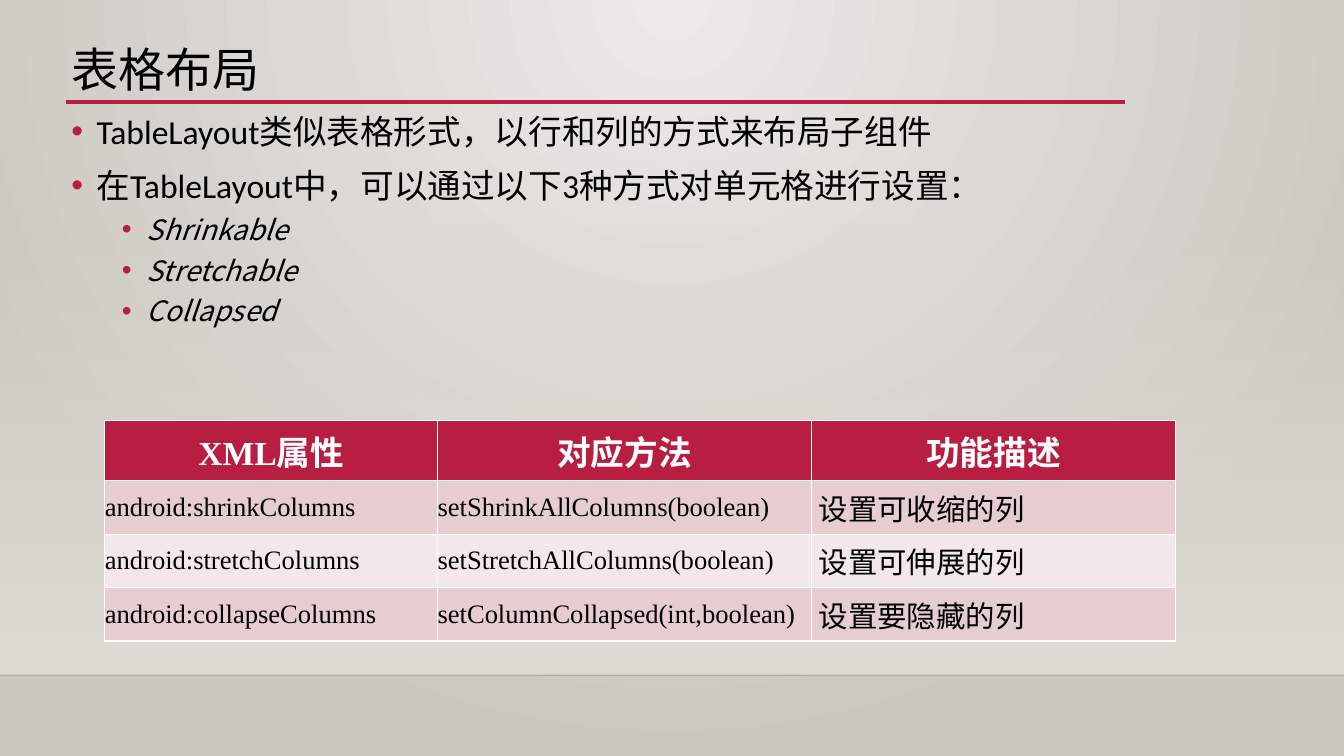
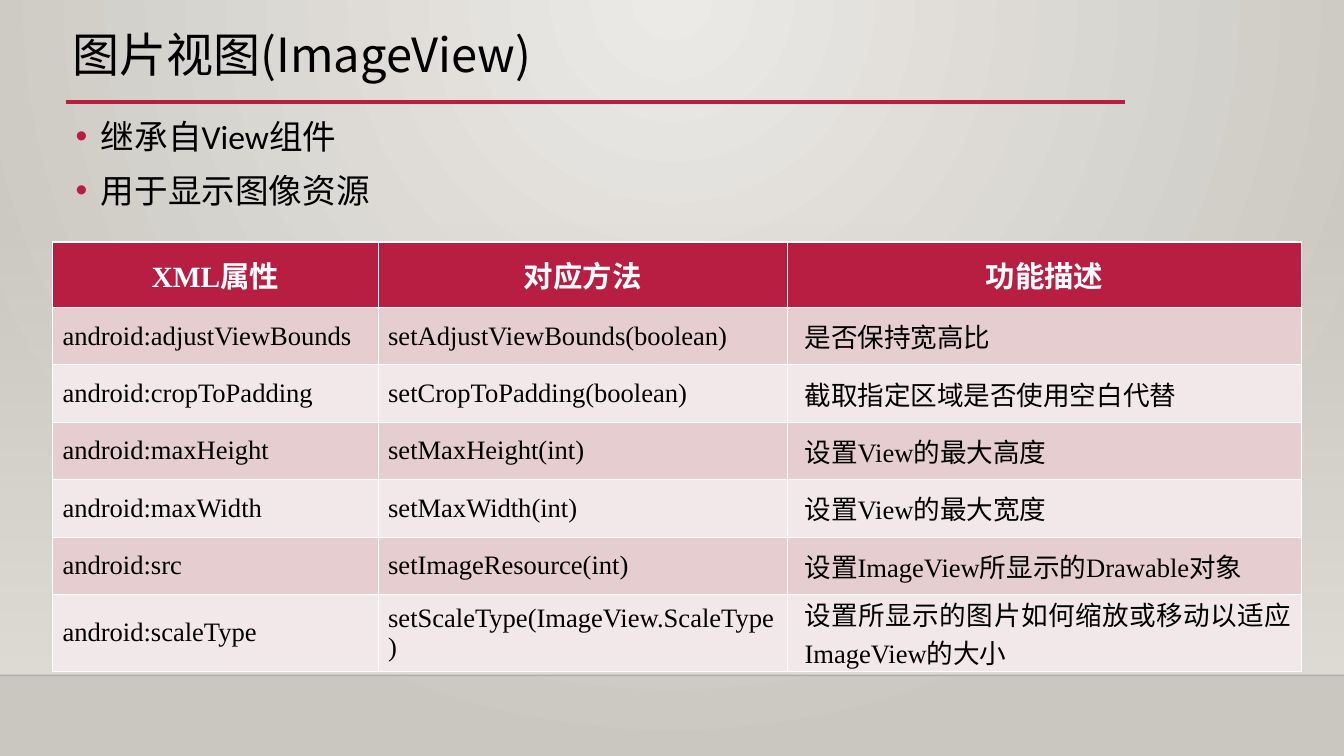
from pptx import Presentation
from pptx.dml.color import RGBColor
from pptx.enum.shapes import MSO_CONNECTOR, MSO_SHAPE
from pptx.enum.text import MSO_ANCHOR, PP_ALIGN
from pptx.oxml import parse_xml
from pptx.oxml.ns import nsdecls, qn
from pptx.util import Inches, Pt

RECT, STRAIGHT = MSO_SHAPE.RECTANGLE, MSO_CONNECTOR.STRAIGHT
TOP, MIDDLE = MSO_ANCHOR.TOP, MSO_ANCHOR.MIDDLE
LEFT, CENTER, JUSTIFY = PP_ALIGN.LEFT, PP_ALIGN.CENTER, PP_ALIGN.JUSTIFY

ACCENT = RGBColor(0xB7, 0x1E, 0x42)
BLACK = RGBColor(0, 0, 0)
WHITE = RGBColor(0xFF, 0xFF, 0xFF)
NEAR_BLACK = RGBColor(0, 0, 1)
ROW_DARK = RGBColor(0xE6, 0xCD, 0xCF)
ROW_LIGHT = RGBColor(0xF3, 0xE8, 0xE9)
BG_INNER = RGBColor(0xEC, 0xEA, 0xE7)
BG_OUTER = RGBColor(0xCA, 0xC7, 0xC1)
BAND = RGBColor(0xDF, 0xDB, 0xD5)

SANS, SERIF, BODY, ARIAL = "Noto Sans CJK SC", "Times New Roman", "Calibri", "Arial"
HEADERS = ["XML属性", "对应方法", "功能描述"]


def xml(tag, attrs="", inner=""):
    return parse_xml(f"<a:{tag} {nsdecls('a')} {attrs}>{inner}</a:{tag}>")


def solid(color, alpha=100):
    return f'<a:srgbClr val="{color}"><a:alpha val="{alpha * 1000}"/></a:srgbClr>'


def gradient(fill, element, start, end, direction):
    """Two-stop gradient; start and end are colour XML."""
    fill.gradient()
    grad = next(element.iter(qn("a:gradFill")))
    for child in list(grad):
        grad.remove(child)
    grad.append(xml("gsLst", inner=f'<a:gs pos="0">{start}</a:gs>'
                                   f'<a:gs pos="100000">{end}</a:gs>'))
    grad.append(direction)


def set_background(master):
    circle = xml("path", 'path="circle"',
                 '<a:fillToRect l="43000" t="0" r="43000" b="100000"/>')
    gradient(master.background.fill, master.element,
             solid(BG_INNER), solid(BG_OUTER), circle)


def add_rule(s, x1, x2, y, color, width, alpha=100):
    line = s.shapes.add_connector(STRAIGHT, Inches(x1), Inches(y), Inches(x2), Inches(y))
    line.line.color.rgb = color
    line.line.width = Pt(width)
    next(line.element.spPr.iter(qn("a:srgbClr"))).append(
        xml("alpha", f'val="{alpha * 1000}"'))
    line.element.spPr.append(xml("effectLst"))


def style_runs(p, size, font, color=BLACK, bold=False, italic=False):
    for r in p.runs:
        r.font.size, r.font.name = Pt(size), font
        r.font.bold, r.font.italic = bold, italic
        r.font.color.rgb = color
        r.font.fill._xPr.find(qn("a:latin")).addnext(xml("ea", f'typeface="{SANS}"'))


def add_text_box(s, x, y, w, h, anchor, inset=(0.1, 0.05)):
    tf = s.shapes.add_textbox(Inches(x), Inches(y), Inches(w), Inches(h)).text_frame
    tf.word_wrap = True
    tf.vertical_anchor = anchor
    tf.margin_left = tf.margin_right = Inches(inset[0])
    tf.margin_top = tf.margin_bottom = Inches(inset[1])
    return tf


def add_title(s, text, x, y, w):
    tf = add_text_box(s, x, y, w, 0.6, MIDDLE)
    tf.text = text
    p = tf.paragraphs[0]
    p.line_spacing = 0.9
    style_runs(p, 33.6, SANS)


def add_bullets(tf, items):
    """items: (level, text) pairs."""
    for i, (level, text) in enumerate(items):
        p = tf.add_paragraph() if i else tf.paragraphs[0]
        p.text = text
        p.level = level
        p.line_spacing = 1.0
        p.space_before = Pt(5 if level else 10)
        pPr = p._p.get_or_add_pPr()
        pPr.set("marL", str(Inches(0.75 if level else 0.25)))
        pPr.set("indent", str(Inches(-0.25)))
        pPr.append(xml("buClr", inner=solid(ACCENT)))
        pPr.append(xml("buFont", f'typeface="{ARIAL}"'))
        pPr.append(xml("buChar", 'char="•"'))
        if level:
            style_runs(p, 20, SANS, italic=True)
        else:
            style_runs(p, 24, BODY)


def style_cell(cell, text, fill, inset):
    cell.text = text
    cell.vertical_anchor = MIDDLE
    cell.margin_left = cell.margin_right = Inches(inset)
    cell.margin_top = cell.margin_bottom = 0
    tcPr = cell._tc.get_or_add_tcPr()
    for side in "LRTB":
        tcPr.append(xml(f"ln{side}", f'w="{Pt(1)}"',
                        f"<a:solidFill>{solid(WHITE)}</a:solidFill>"))
    cell.fill.solid()
    cell.fill.fore_color.rgb = fill
    return cell.text_frame.paragraphs[0]


def add_method_table(s, x, y, widths, heights, rows, header_size, note_style, inset):
    table = s.shapes.add_table(len(heights), len(widths), Inches(x), Inches(y),
                               Inches(sum(widths)), Inches(sum(heights))).table
    for col, w in zip(table.columns, widths):
        col.width = Inches(w)
    for row, h in zip(table.rows, heights):
        row.height = Inches(h)
    for c, text in enumerate(HEADERS):
        p = style_cell(table.cell(0, c), text, ACCENT, 0)
        p.alignment = CENTER
        style_runs(p, header_size, SERIF, WHITE, bold=True)
    for i, texts in enumerate(rows, 1):
        for c, text in enumerate(texts):
            p = style_cell(table.cell(i, c), text, ROW_DARK if i % 2 else ROW_LIGHT, inset)
            if c == 2:
                p.alignment = JUSTIFY
                p._p.get_or_add_pPr().set("marL", str(Inches(0.07)))
                style_runs(p, *note_style)
            else:
                p.alignment = LEFT
                style_runs(p, 19, SERIF)


def add_slide(prs):
    """Blank slide with the shared band and rules."""
    s = prs.slides.add_slide(prs.slide_layouts[6])
    band = s.shapes.add_shape(RECT, 0, Inches(2.21), prs.slide_width, Inches(4.49))
    band.shadow.inherit = False
    band.line.fill.background()
    gradient(band.fill, band.element, solid(BAND, 0), solid(BAND),
             xml("lin", 'ang="5400000" scaled="0"'))
    add_rule(s, 0, 13.33, 6.7, NEAR_BLACK, 1, alpha=20)
    add_rule(s, 0.65, 11.16, 1.01, ACCENT, 2.5)
    return s


def table_layout_slide(prs):
    s = add_slide(prs)
    add_title(s, "表格布局", 0.61, 0.42, 8.19)
    add_bullets(add_text_box(s, 0.61, 1.05, 11.97, 3, TOP), [
        (0, "TableLayout类似表格形式，以行和列的方式来布局子组件"),
        (0, "在TableLayout中，可以通过以下3种方式对单元格进行设置："),
        (1, "Shrinkable"),
        (1, "Stretchable"),
        (1, "Collapsed"),
    ])
    add_method_table(s, 1.04, 4.17, [3.3, 3.71, 3.61], [0.6] + [0.53] * 3, [
        ("android:shrinkColumns", "setShrinkAllColumns(boolean)", "设置可收缩的列"),
        ("android:stretchColumns", "setStretchAllColumns(boolean)", "设置可伸展的列"),
        ("android:collapseColumns", "setColumnCollapsed(int,boolean)", "设置要隐藏的列"),
    ], header_size=24, note_style=(21, ARIAL), inset=0)


def image_view_slide(prs):
    s = add_slide(prs)
    add_title(s, "图片视图(ImageView)", 0.62, 0.27, 8.9)
    add_bullets(add_text_box(s, 0.62, 1.01, 11.98, 1.21, MIDDLE, (0.13, 0.07)), [
        (0, "继承自View组件"),
        (0, "用于显示图像资源"),
    ])
    add_method_table(s, 0.52, 2.4, [3.23, 4.06, 5.1], [0.65] + [0.57] * 5 + [0.76], [
        ("android:adjustViewBounds", "setAdjustViewBounds(boolean)", "是否保持宽高比"),
        ("android:cropToPadding", "setCropToPadding(boolean)", "截取指定区域是否使用空白代替"),
        ("android:maxHeight", "setMaxHeight(int)", "设置View的最大高度"),
        ("android:maxWidth", "setMaxWidth(int)", "设置View的最大宽度"),
        ("android:src", "setImageResource(int)", "设置ImageView所显示的Drawable对象"),
        ("android:scaleType", "setScaleType(ImageView.ScaleType)",
         "设置所显示的图片如何缩放或移动以适应ImageView的大小"),
    ], header_size=21, note_style=(19, SERIF), inset=0.1)


def main():
    prs = Presentation()
    prs.slide_width, prs.slide_height = Inches(13.33), Inches(7.5)
    set_background(prs.slide_master)
    table_layout_slide(prs)
    image_view_slide(prs)
    prs.save("out.pptx")


if __name__ == "__main__":
    main()
